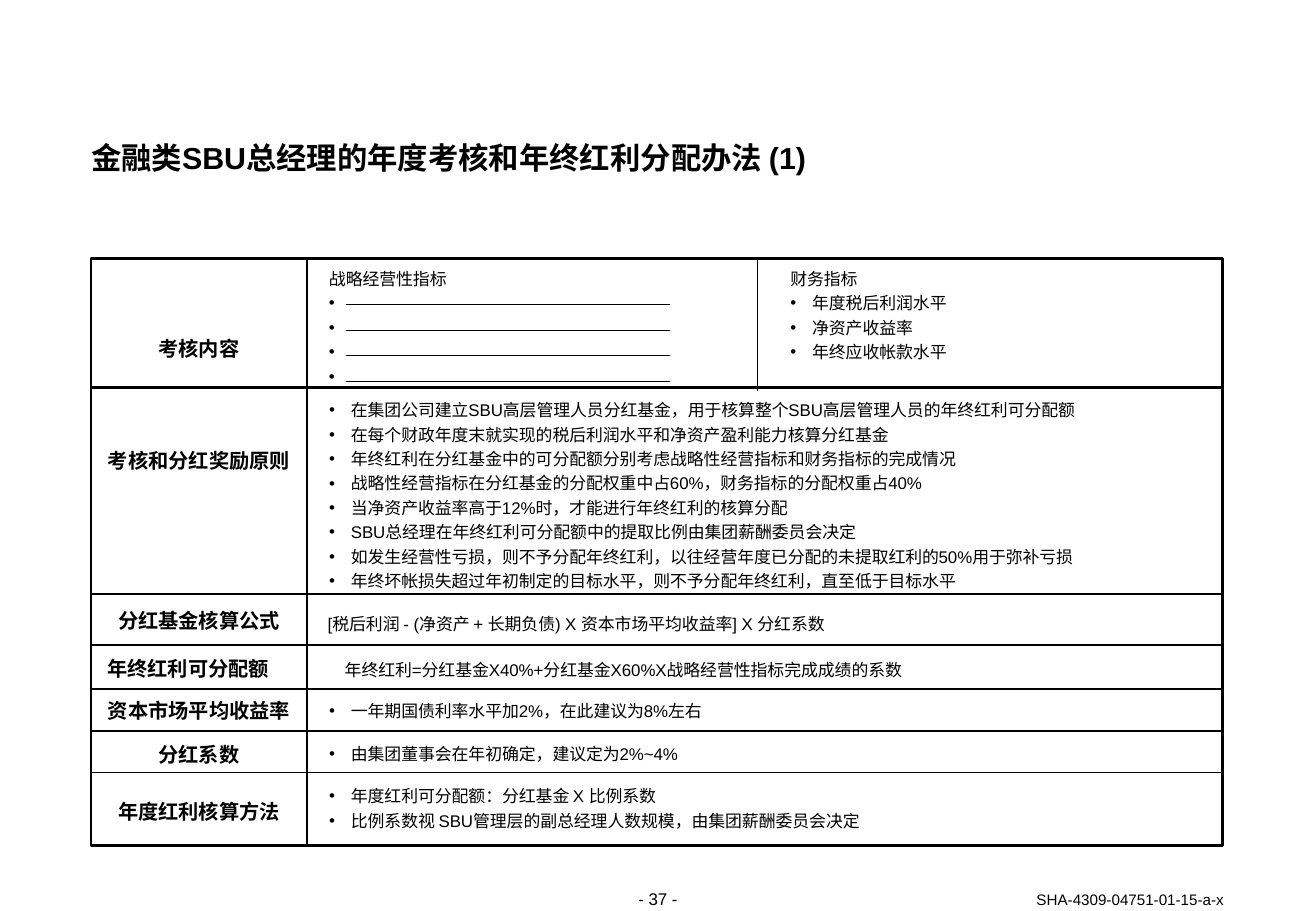
"""Build the slide on annual appraisal and bonus distribution for finance SBU managers."""
import pptx
import pptx.util
import pptx.dml.color
import pptx.enum.shapes
import pptx.enum.text
import lxml.etree
from dataclasses import dataclass

Inches, Pt = pptx.util.Inches, pptx.util.Pt
ALIGN = pptx.enum.text.PP_ALIGN
ANCHOR = pptx.enum.text.MSO_ANCHOR
A = "{http://schemas.openxmlformats.org/drawingml/2006/main}"


@dataclass(frozen=True)
class Theme:
    font: str = "Arial"
    ink: pptx.dml.color.RGBColor = pptx.dml.color.RGBColor(0, 0, 0)
    title: float = 18
    label: float = 12
    body: float = 10
    code: float = 9
    thick: float = 1.5
    rule: float = 1
    thin: float = 0.5


theme = Theme()
prs = pptx.Presentation()
prs.slide_width, prs.slide_height = Inches(10.84), Inches(7.5)
s = prs.slides.add_slide(prs.slide_layouts[6])


def add_text(text, x, y, w, h, size=theme.body, bold=False, align=ALIGN.LEFT,
             anchor=ANCHOR.TOP, spacing=None, bullets=False, heading=False):
    """Add a text box with one paragraph per line of text."""
    tf = s.shapes.add_textbox(Inches(x), Inches(y), Inches(w), Inches(h)).text_frame
    tf.word_wrap = True
    tf.vertical_anchor = anchor
    tf.margin_left = tf.margin_top = tf.margin_right = tf.margin_bottom = 0
    for i, line in enumerate(text.split("\n")):
        p = tf.paragraphs[0] if i == 0 else tf.add_paragraph()
        if bullets:
            pPr = p._p.get_or_add_pPr()
            pPr.set("marL", str(Inches(0.19)))
            pPr.set("indent", str(Inches(-0.18)))
            if not (heading and i == 0):
                lxml.etree.SubElement(pPr, A + "buFont", typeface=theme.font)
                lxml.etree.SubElement(pPr, A + "buChar", char="•")
        p.alignment = align
        if spacing:
            p.line_spacing = spacing
        if i > 0:
            p.space_before = Pt(2.5)
        r = p.add_run()
        r.text = line
        r.font.name, r.font.size, r.font.bold = theme.font, Pt(size), bold
        r.font.color.rgb = theme.ink


def add_line(x1, y1, x2, y2, width):
    """Add a straight rule without a shadow."""
    line = s.shapes.add_connector(pptx.enum.shapes.MSO_CONNECTOR.STRAIGHT,
                                  Inches(x1), Inches(y1), Inches(x2), Inches(y2))
    line.line.color.rgb = theme.ink
    line.line.width = Pt(width)
    lxml.etree.SubElement(line._element.spPr, A + "effectLst")


left, right, top, bottom = 0.75, 10.07, 2.13, 6.96
body_x, body_w = 2.7, 7.55

add_text("金融类SBU总经理的年度考核和年终红利分配办法 (1)", left, 1.17, 9.33, 0.28,
         size=theme.title, bold=True, spacing=Pt(20))

frame = s.shapes.add_shape(pptx.enum.shapes.MSO_SHAPE.RECTANGLE, Inches(left), Inches(top),
                           Inches(right - left), Inches(bottom - top))
frame.shadow.inherit = False
frame.fill.background()
frame.line.color.rgb = theme.ink
frame.line.width = Pt(theme.thick)

add_line(2.53, top, 2.53, bottom, theme.rule)
add_line(6.24, top, 6.24, 3.22, theme.thin)
add_line(left, 3.19, right, 3.19, theme.thick)
for y in (4.89, 5.31, 5.67, 6.02, 6.36):
    add_line(left, y, right, y, theme.rule)
for i in range(4):
    y = 2.51 + 0.21 * i
    add_line(2.85, y, 5.52, y, theme.thin)

row_labels = [
    ("考核内容", 0.86, 2.77),
    ("考核和分红奖励原则", 0.86, 3.69),
    ("分红基金核算公式", 0.86, 5.01),
    ("年终红利可分配额", 0.77, 5.4),
    ("资本市场平均收益率", 0.86, 5.75),
    ("分红系数", 0.86, 6.11),
    ("年度红利核算方法", 0.86, 6.58),
]
for label, x, y in row_labels:
    add_text(label, x, y, 1.56, 0.2, size=theme.label, bold=True, align=ALIGN.CENTER)

add_text("\n".join(["战略经营性指标"] + [" "] * 4), body_x, 2.21, 1.96, 0.97,
         bullets=True, heading=True)
add_text("财务指标\n年度税后利润水平\n净资产收益率\n年终应收帐款水平", 6.5, 2.21, 1.96, 0.77,
         bullets=True, heading=True)

principles = """在集团公司建立SBU高层管理人员分红基金，用于核算整个SBU高层管理人员的年终红利可分配额
在每个财政年度末就实现的税后利润水平和净资产盈利能力核算分红基金
年终红利在分红基金中的可分配额分别考虑战略性经营指标和财务指标的完成情况
战略性经营指标在分红基金的分配权重中占60%，财务指标的分配权重占40%
当净资产收益率高于12%时，才能进行年终红利的核算分配
SBU总经理在年终红利可分配额中的提取比例由集团薪酬委员会决定
如发生经营性亏损，则不予分配年终红利，以往经营年度已分配的未提取红利的50%用于弥补亏损
年终坏帐损失超过年初制定的目标水平，则不予分配年终红利，直至低于目标水平"""
method = """年度红利可分配额：分红基金 X 比例系数
比例系数视 SBU管理层的副总经理人数规模，由集团薪酬委员会决定"""
bullet_rows = [
    (principles, 3.29, 1.58),
    ("一年期国债利率水平加2%，在此建议为8%左右", 5.77, 0.17),
    ("由集团董事会在年初确定，建议定为2%~4%", 6.12, 0.17),
    (method, 6.47, 0.37),
]
for text, y, h in bullet_rows:
    add_text(text, body_x, y, body_w, h, bullets=True)

formulas = [
    ("[税后利润 - (净资产 + 长期负债) X 资本市场平均收益率] X 分红系数", body_x, 5),
    ("年终红利=分红基金X40%+分红基金X60%X战略经营性指标完成成绩的系数", 2.84, 5.38),
]
for text, x, y in formulas:
    add_text(text, x, y, 7.1, 0.22, spacing=1.3)

add_text("- 37 -", 4.85, 7.32, 1.14, 0.17, align=ALIGN.CENTER)
add_text("SHA-4309-04751-01-15-a-x", 7.64, 7.33, 2.44, 0.15, size=theme.code,
         align=ALIGN.RIGHT, anchor=ANCHOR.BOTTOM, spacing=Pt(11))

prs.save("out.pptx")
